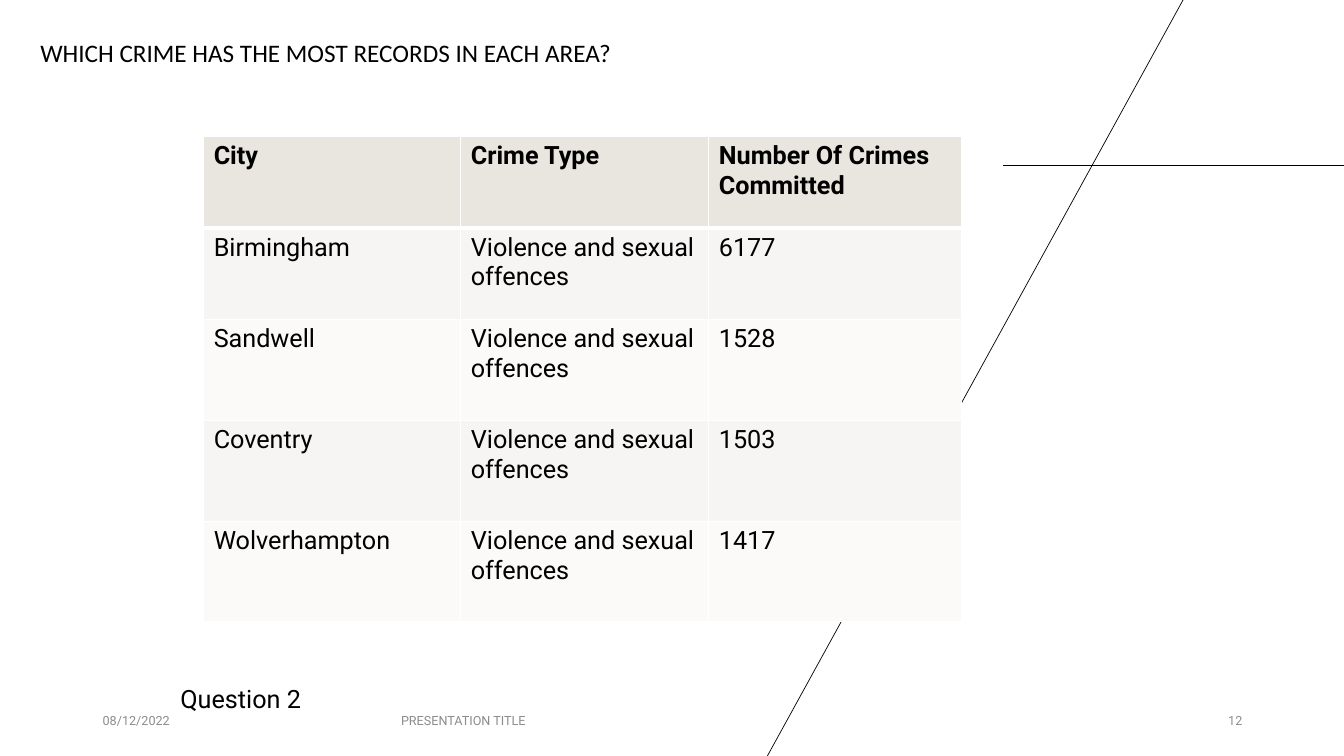
from pptx import Presentation
from pptx.dml.color import RGBColor
from pptx.enum import shapes, text
from pptx.oxml import parse_xml
from pptx.oxml.ns import nsdecls
from pptx.util import Inches, Pt

COLORS = {
    "ink": "000000",
    "muted": "8C8C8C",
    "border": "FFFFFF",
    "header": "E9E6DF",
    "odd_row": "F7F5F3",
    "even_row": "FBFAF9",
}
TITLE = "WHICH CRIME HAS THE MOST RECORDS IN EACH AREA?"
HEADERS = ["City", "Crime Type", "Number Of Crimes Committed"]
CRIME = "Violence and sexual offences"
RECORDS = {"Birmingham": 6177, "Sandwell": 1528, "Coventry": 1503, "Wolverhampton": 1417}
COLUMN_WIDTHS = [2.55, 2.46, 2.51]
ROW_HEIGHTS = [0.91, 0.91, 1, 1, 1]
LEFT, CENTER, RIGHT = text.PP_ALIGN.LEFT, text.PP_ALIGN.CENTER, text.PP_ALIGN.RIGHT
TOP, MIDDLE = text.MSO_ANCHOR.TOP, text.MSO_ANCHOR.MIDDLE


def rgb(name):
    return RGBColor.from_string(COLORS[name])


def write(tf, content, size=18, font="Roboto", color="ink", bold=False, align=LEFT, anchor=TOP):
    tf.word_wrap = True
    tf.vertical_anchor = anchor
    p = tf.paragraphs[0]
    p.alignment = align
    r = p.add_run()
    r.text = content
    r.font.size = Pt(size)
    r.font.name = font
    r.font.bold = bold
    r.font.color.rgb = rgb(color)


def add_text(s, box, content, **style):
    sp = s.shapes.add_textbox(*map(Inches, box))
    write(sp.text_frame, content, **style)


def add_title(s):
    sp = s.shapes.title
    sp.left, sp.top, sp.width, sp.height = map(Inches, (0.3, 0.32, 8.01, 0.4))
    write(sp.text_frame, TITLE, font="Calibri")
    sp.text_frame.auto_size = text.MSO_AUTO_SIZE.NONE


def add_line(s, *ends):
    line = s.shapes.add_connector(shapes.MSO_CONNECTOR.STRAIGHT, *map(Inches, ends))
    line.line.color.rgb = rgb("ink")
    line.line.width = Pt(0.5)
    line._element.spPr.append(parse_xml(f"<a:effectLst {nsdecls('a')}/>"))


def set_borders(cell, **widths):
    """Draw the four cell borders; widths in points, keyed L, R, T and B."""
    tcPr = cell._tc.get_or_add_tcPr()
    for side in "LRTB":
        tcPr.append(parse_xml(
            f'<a:ln{side} {nsdecls("a")} w="{Pt(widths.get(side, 1))}"><a:solidFill>'
            f'<a:srgbClr val="{COLORS["border"]}"/></a:solidFill></a:ln{side}>'))


def add_crime_table(s):
    rows = [HEADERS] + [[city, CRIME, str(count)] for city, count in RECORDS.items()]
    size = sum(COLUMN_WIDTHS), sum(ROW_HEIGHTS)
    table = s.shapes.add_table(len(rows), len(HEADERS), *map(Inches, (2.02, 1.35, *size))).table
    for column, width in zip(table.columns, COLUMN_WIDTHS):
        column.width = Inches(width)
    for row, height in zip(table.rows, ROW_HEIGHTS):
        row.height = Inches(height)
    for i, values in enumerate(rows):
        fill = "header" if i == 0 else "odd_row" if i % 2 else "even_row"
        for j, value in enumerate(values):
            cell = table.cell(i, j)
            write(cell.text_frame, value, bold=i == 0)
            set_borders(cell, T=3 if i == 1 else 1, B=3 if i == 0 else 1)
            cell.fill.solid()
            cell.fill.fore_color.rgb = rgb(fill)


def main():
    prs = Presentation()
    prs.slide_width, prs.slide_height = Inches(13.33), Inches(7.5)
    s = prs.slides.add_slide(prs.slide_layouts.get_by_name("Title Only"))

    add_line(s, 9.95, 1.64, 13.33, 1.64)
    add_line(s, 11.75, -0.03, 7.6, 7.52)

    footer = {"size": 9, "color": "muted", "anchor": MIDDLE}
    add_text(s, (0.92, 6.95, 1.33, 0.4), "08/12/2022", **footer)
    add_text(s, (2.69, 6.95, 3.81, 0.4), "PRESENTATION TITLE", align=CENTER, **footer)
    add_text(s, (9.42, 6.95, 3, 0.4), "12", align=RIGHT, **footer)

    add_title(s)
    add_text(s, (1.69, 6.73, 5.81, 0.4), "Question 2")
    add_crime_table(s)
    prs.save("out.pptx")


if __name__ == "__main__":
    main()
